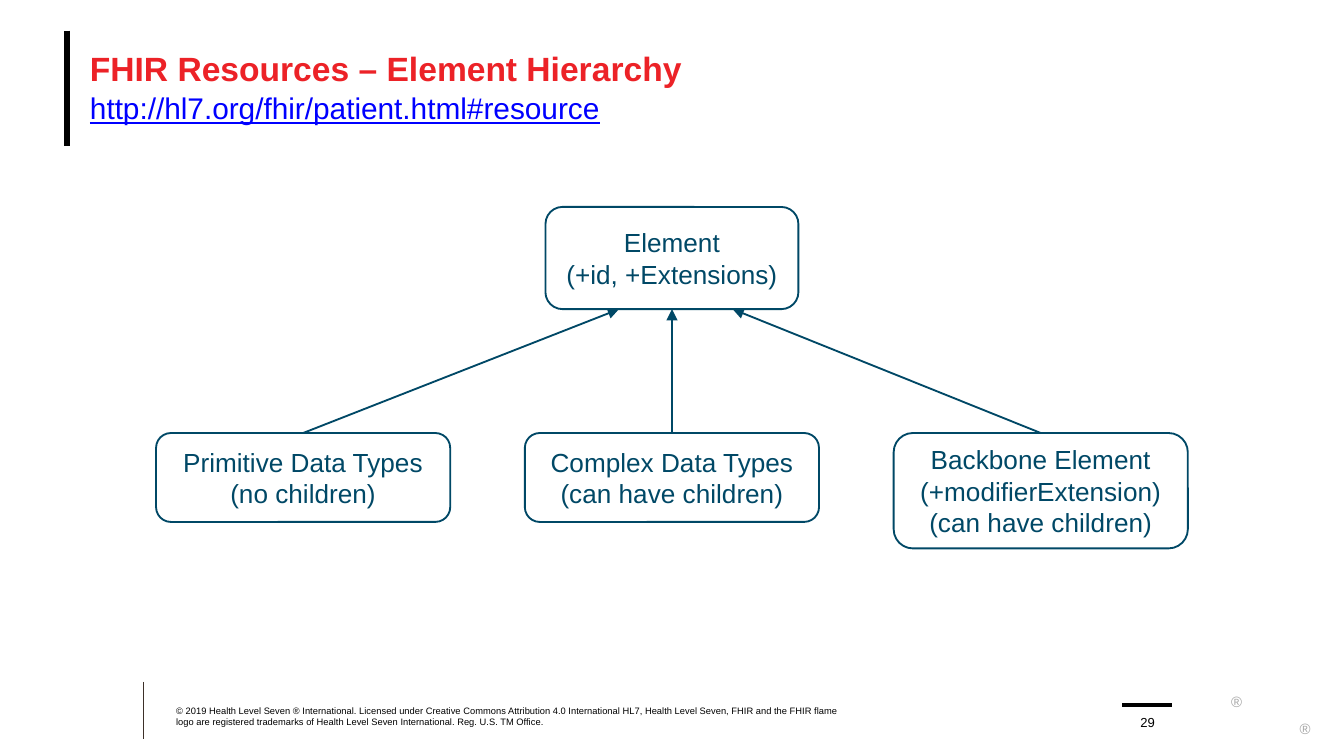
from dataclasses import dataclass

from lxml import etree
from pptx import Presentation
from pptx.dml.color import RGBColor
from pptx.enum import shapes, text
from pptx.oxml import ns
from pptx.util import Cm, Pt

RED = RGBColor(0xEC, 0x22, 0x27)
LINK_BLUE = RGBColor(0x00, 0x00, 0xFF)
TEAL = RGBColor(0x00, 0x48, 0x66)
BLACK = RGBColor(0x00, 0x00, 0x00)
DARK = RGBColor(0x3D, 0x30, 0x29)
GREY = RGBColor(0xA6, 0xA6, 0xA6)

COPYRIGHT = (
    "© 2019 Health Level Seven ® International. Licensed under Creative Commons "
    "Attribution 4.0 International HL7, Health Level Seven, FHIR and the FHIR flame "
    "logo are registered trademarks of Health Level Seven International. "
    "Reg. U.S. TM Office."
)
PARENT = ["Element", "(+id, +Extensions)"]
# Text lines, box height and where the arrow meets the parent's lower edge
CHILDREN = [
    (["Primitive Data Types", "(no children)"], Cm(1.68), 0.29),
    (["Complex Data Types", "(can have children)"], Cm(1.68), 0.5),
    (["Backbone Element", "(+modifierExtension)", "(can have children)"], Cm(2.18), 0.74),
]


@dataclass
class Box:
    left: int
    top: int
    width: int
    height: int


def style_font(font, size, color, bold=False):
    font.name, font.size, font.bold = "Arial", Pt(size), bold
    font.color.rgb = color


def add_line(page, start, end, color, width, arrow=False):
    line = page.shapes.add_connector(shapes.MSO_CONNECTOR.STRAIGHT, *start, *end)
    line.line.color.rgb = color
    line.line.width = Pt(width)
    if arrow:
        outline = line.line._get_or_add_ln()
        etree.SubElement(outline, ns.qn("a:tailEnd"), type="triangle")
    etree.SubElement(line._element.spPr, ns.qn("a:effectLst"))


def clear_margins(frame):
    frame.margin_left = frame.margin_top = frame.margin_right = frame.margin_bottom = 0


def add_label(page, box, words, size, color, align=text.PP_ALIGN.LEFT,
              anchor=text.MSO_ANCHOR.BOTTOM, wrap=True):
    label = page.shapes.add_textbox(box.left, box.top, box.width, box.height)
    frame = label.text_frame
    clear_margins(frame)
    frame.word_wrap = wrap
    frame.vertical_anchor = anchor
    para = frame.paragraphs[0]
    para.text = words
    para.alignment = align
    style_font(para.font, size, color)


def add_node(page, box, lines):
    node = page.shapes.add_shape(
        shapes.MSO_SHAPE.ROUNDED_RECTANGLE, box.left, box.top, box.width, box.height)
    node.shadow.inherit = False
    node.fill.background()
    node.line.color.rgb = TEAL
    node.line.width = Pt(1)
    frame = node.text_frame
    frame.word_wrap = False
    frame.vertical_anchor = text.MSO_ANCHOR.MIDDLE
    frame.text = "\n".join(lines)
    for para in frame.paragraphs:
        para.alignment = text.PP_ALIGN.CENTER
        style_font(para.font, 14, TEAL)


def add_heading(page, box):
    add_line(page, (box.left, box.top), (box.left, box.top + box.height), BLACK, 3.25)
    title = page.shapes.title
    title.left, title.top = box.left + Cm(0.43), box.top
    title.width, title.height = box.width - Cm(0.43), box.height
    frame = title.text_frame
    clear_margins(frame)
    frame.word_wrap = True
    frame.auto_size = text.MSO_AUTO_SIZE.NONE
    frame.vertical_anchor = text.MSO_ANCHOR.MIDDLE
    para = frame.paragraphs[0]
    para.alignment = text.PP_ALIGN.LEFT
    para.line_spacing = Pt(20)
    span = para.add_run()
    span.text = "FHIR Resources – Element Hierarchy"
    style_font(span.font, 18, RED, bold=True)
    para.add_line_break()
    span = para.add_run()
    span.text = "http://hl7.org/fhir/patient.html#resource"
    style_font(span.font, 16, LINK_BLUE)
    span.font.underline = True


def add_hierarchy(page, box):
    parent = Box(0, box.top, Cm(4.78), Cm(1.93))
    parent.left = box.left + (box.width - parent.width) // 2
    add_node(page, parent, PARENT)

    child_width = Cm(5.56)
    pitch = (box.width - child_width) // (len(CHILDREN) - 1)
    child_top = box.top + Cm(4.27)
    for index, (lines, height, target) in enumerate(CHILDREN):
        child = Box(box.left + index * pitch, child_top, child_width, height)
        add_node(page, child, lines)
        start = (child.left + child.width // 2, child.top)
        end = (parent.left + int(parent.width * target), parent.top + parent.height)
        add_line(page, start, end, TEAL, 1, arrow=True)


def add_footer(page, box):
    add_line(page, (box.left, box.top), (box.left, box.top + box.height), DARK, 0.5)
    add_label(page, Box(box.left + Cm(0.61), box.top + Cm(0.43), Cm(12.57), Cm(0.43)),
              COPYRIGHT, 5, BLACK)

    number = Box(box.left + Cm(18.59), box.top + Cm(0.43), Cm(0.76), Cm(0.48))
    bar_left = box.left + Cm(18.49)
    add_line(page, (bar_left, number.top), (bar_left + Cm(0.94), number.top), BLACK, 2)
    add_label(page, number, "29", 7, BLACK, text.PP_ALIGN.CENTER)

    for left, top in ((Cm(20.55), Cm(0.2)), (Cm(21.84), Cm(0.71))):
        add_label(page, Box(box.left + left, box.top + top, Cm(0.25), Cm(0.33)),
                  "®", 8, GREY, anchor=text.MSO_ANCHOR.TOP, wrap=False)


def main():
    deck = Presentation()
    deck.slide_width, deck.slide_height = Cm(25.4), Cm(14.28)
    page = deck.slides.add_slide(deck.slide_layouts[5])
    add_heading(page, Box(Cm(1.27), Cm(0.58), Cm(23.29), Cm(2.18)))
    add_hierarchy(page, Box(Cm(2.95), Cm(3.91), Cm(19.5), Cm(6.45)))
    add_footer(page, Box(Cm(2.72), Cm(12.88), Cm(22.1), Cm(1.07)))
    deck.save("out.pptx")


if __name__ == "__main__":
    main()
